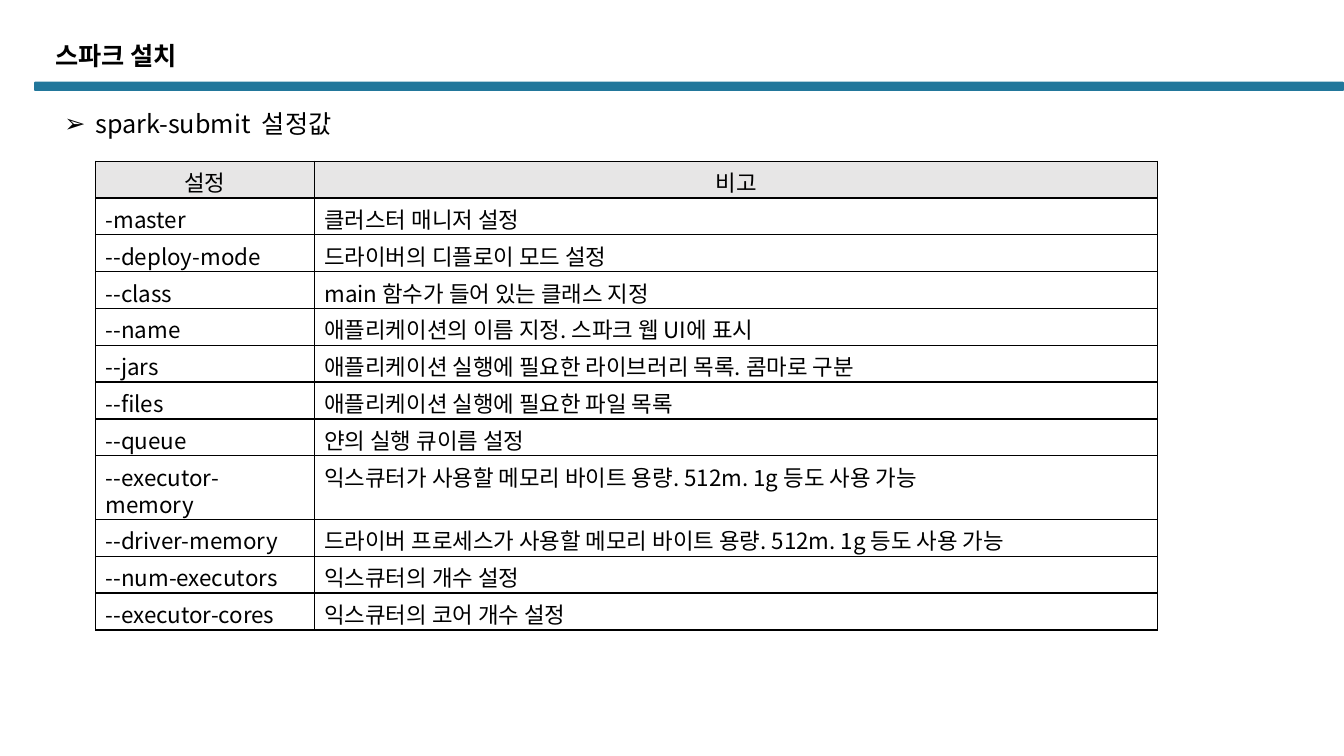
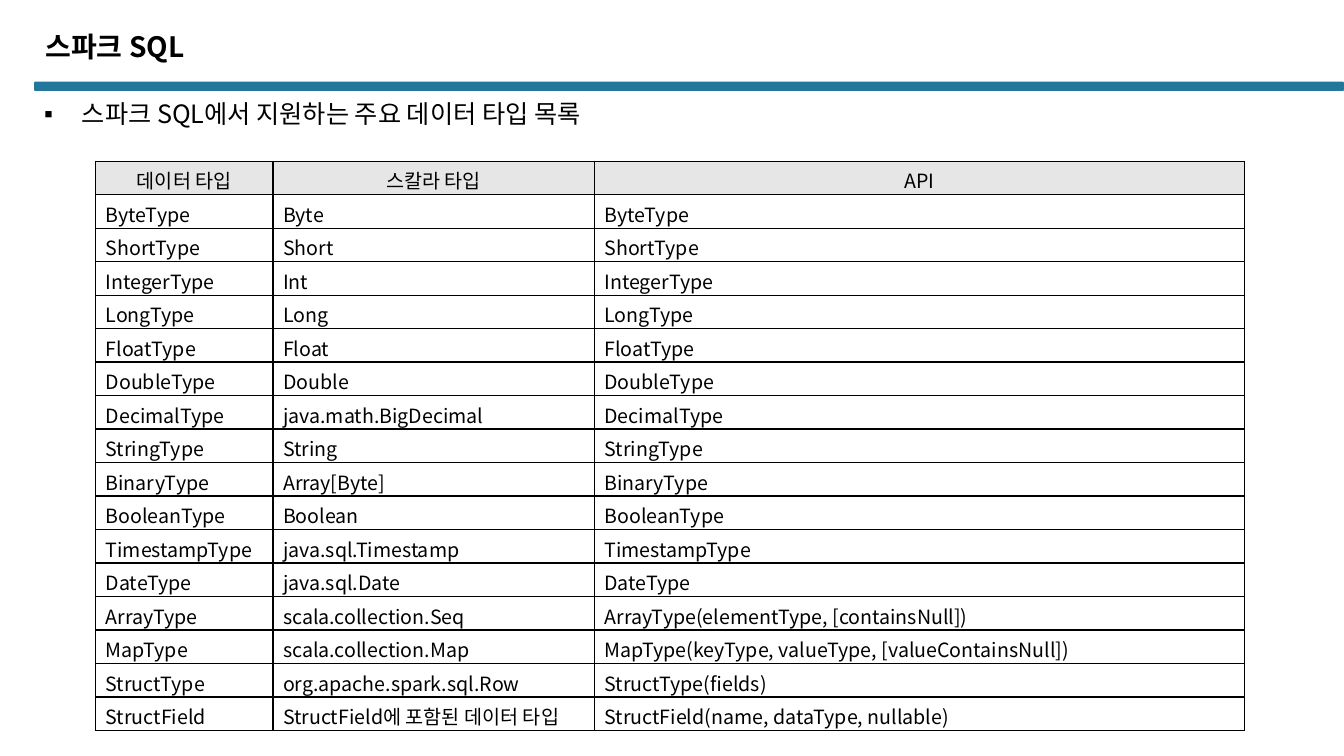
from pptx import Presentation
from pptx.dml.color import RGBColor
from pptx.enum.shapes import MSO_SHAPE as Shape
from pptx.enum.text import MSO_ANCHOR as Anchor, MSO_AUTO_SIZE as AutoSize, PP_ALIGN as Align
from pptx.oxml.ns import qn
from pptx.util import Cm, Pt
from lxml.etree import SubElement, Element

COLORS = {"band": "22779B", "header": "E7E6E6", "text": "000000", "border": "000000"}
FONT = "Noto Sans CJK KR"
TABLE_LEFT, TABLE_TOP = Cm(2.41), Cm(4.06)

SUBMIT_OPTIONS = [
    ("설정", "비고"),
    ("-master", "클러스터 매니저 설정"),
    ("--deploy-mode", "드라이버의 디플로이 모드 설정"),
    ("--class", "main 함수가 들어 있는 클래스 지정"),
    ("--name", "애플리케이션의 이름 지정. 스파크 웹 UI에 표시"),
    ("--jars", "애플리케이션 실행에 필요한 라이브러리 목록. 콤마로 구분"),
    ("--files", "애플리케이션 실행에 필요한 파일 목록"),
    ("--queue", "얀의 실행 큐이름 설정"),
    ("--executor-memory", "익스큐터가 사용할 메모리 바이트 용량. 512m. 1g 등도 사용 가능"),
    ("--driver-memory", "드라이버 프로세스가 사용할 메모리 바이트 용량. 512m. 1g 등도 사용 가능"),
    ("--num-executors", "익스큐터의 개수 설정"),
    ("--executor-cores", "익스큐터의 코어 개수 설정"),
]

DATA_TYPES = [
    ("데이터 타입", "스칼라 타입", "API"),
    ("ByteType", "Byte", "ByteType"),
    ("ShortType", "Short", "ShortType"),
    ("IntegerType", "Int", "IntegerType"),
    ("LongType", "Long", "LongType"),
    ("FloatType", "Float", "FloatType"),
    ("DoubleType", "Double", "DoubleType"),
    ("DecimalType", "java.math.BigDecimal", "DecimalType"),
    ("StringType", "String", "StringType"),
    ("BinaryType", "Array[Byte]", "BinaryType"),
    ("BooleanType", "Boolean", "BooleanType"),
    ("TimestampType", "java.sql.Timestamp", "TimestampType"),
    ("DateType", "java.sql.Date", "DateType"),
    ("ArrayType", "scala.collection.Seq", "ArrayType(elementType, [containsNull])"),
    ("MapType", "scala.collection.Map", "MapType(keyType, valueType, [valueContainsNull])"),
    ("StructType", "org.apache.spark.sql.Row", "StructType(fields)"),
    ("StructField", "StructField에 포함된 데이터 타입", "StructField(name, dataType, nullable)"),
]


def rgb(name):
    return RGBColor.from_string(COLORS[name])


def place(sp, left, top, width, height):
    sp.left, sp.top, sp.width, sp.height = Cm(left), Cm(top), Cm(width), Cm(height)


def format_runs(p, size, bold=False):
    for r in p.runs:
        r.font.name = FONT
        r.font.size = Pt(size)
        r.font.bold = bold
        r.font.color.rgb = rgb("text")
        latin = r.font._element.find(qn("a:latin"))
        east_asian = Element(qn("a:ea"), typeface=FONT)
        latin.addnext(east_asian)


def fill_placeholder(sp, text, size, bold=False):
    tf = sp.text_frame
    tf.text = text
    tf.word_wrap = True
    tf.auto_size = AutoSize.NONE
    tf.vertical_anchor = Anchor.TOP
    p = tf.paragraphs[0]
    p.alignment = Align.LEFT
    p.line_spacing = 0.9
    p.space_before = Pt(0)
    format_runs(p, size, bold)
    return p


def add_band(prs, s):
    left = Cm(0.86)
    sp = s.shapes.add_shape(Shape.ROUNDED_RECTANGLE, left, Cm(2.06), prs.slide_width - left, Cm(0.23))
    sp.adjustments[0] = 0.13
    sp.shadow.inherit = False
    sp.fill.solid()
    sp.fill.fore_color.rgb = rgb("band")
    sp.line.fill.background()


def set_bullet(p, char, indent):
    pPr = p._p.get_or_add_pPr()
    pPr.set("marL", str(Cm(indent)))
    pPr.set("indent", str(-Cm(indent)))
    SubElement(pPr, qn("a:buChar"), char=char)


def add_slide(prs, title, title_box, title_size, topic, topic_box, bullet, indent):
    s = prs.slides.add_slide(prs.slide_layouts[1])
    add_band(prs, s)
    place(s.shapes.title, *title_box)
    fill_placeholder(s.shapes.title, title, title_size, bold=True)
    body = s.placeholders[1]
    place(body, *topic_box)
    set_bullet(fill_placeholder(body, topic, 18), bullet, indent)
    return s


def set_borders(cell):
    tcPr = cell._tc.get_or_add_tcPr()
    for i, side in enumerate(("lnL", "lnR", "lnT", "lnB")):
        ln = Element(qn(f"a:{side}"), w=str(Pt(1)))
        fill = SubElement(ln, qn("a:solidFill"))
        SubElement(fill, qn("a:srgbClr"), val=COLORS["border"])
        tcPr.insert(i, ln)


def format_cell(cell, text, size, is_header):
    cell.text = text
    cell.margin_top, cell.margin_bottom = Cm(0.25), Cm(0)
    cell.vertical_anchor = Anchor.TOP
    if is_header:
        cell.fill.solid()
        cell.fill.fore_color.rgb = rgb("header")
    else:
        cell.fill.background()
    set_borders(cell)
    p = cell.text_frame.paragraphs[0]
    p.alignment = Align.CENTER if is_header else Align.LEFT
    p.line_spacing = Pt(size * 1.2)
    format_runs(p, size)


def add_grid(s, rows, widths, size):
    row_height = Cm(0.69)
    frame = s.shapes.add_table(len(rows), len(widths), TABLE_LEFT, TABLE_TOP,
                               Cm(sum(widths)), row_height * len(rows))
    table = frame.table
    table.first_row = table.horz_banding = False
    for column, width in zip(table.columns, widths):
        column.width = Cm(width)
    for i, values in enumerate(rows):
        table.rows[i].height = row_height
        for j, text in enumerate(values):
            format_cell(table.cell(i, j), text, size, is_header=i == 0)


def main():
    prs = Presentation()
    prs.slide_width, prs.slide_height = Cm(33.87), Cm(19.05)

    s = add_slide(prs, "스파크 설치", (1.14, 0.98, 30.48, 1.2), 18,
                  "spark-submit  설정값", (1.37, 2.69, 30.35, 1.8), "➢", 0.79)
    add_grid(s, SUBMIT_OPTIONS, (5.51, 21.26), 16)

    s = add_slide(prs, "스파크 SQL", (0.89, 0.72, 20.07, 1.2), 20,
                  "스파크 SQL에서 지원하는 주요 데이터 타입 목록", (0.86, 2.44, 31.57, 1.02), "▪", 0.95)
    add_grid(s, DATA_TYPES, (4.47, 8.1, 16.38), 14)

    prs.save("out.pptx")


if __name__ == "__main__":
    main()
